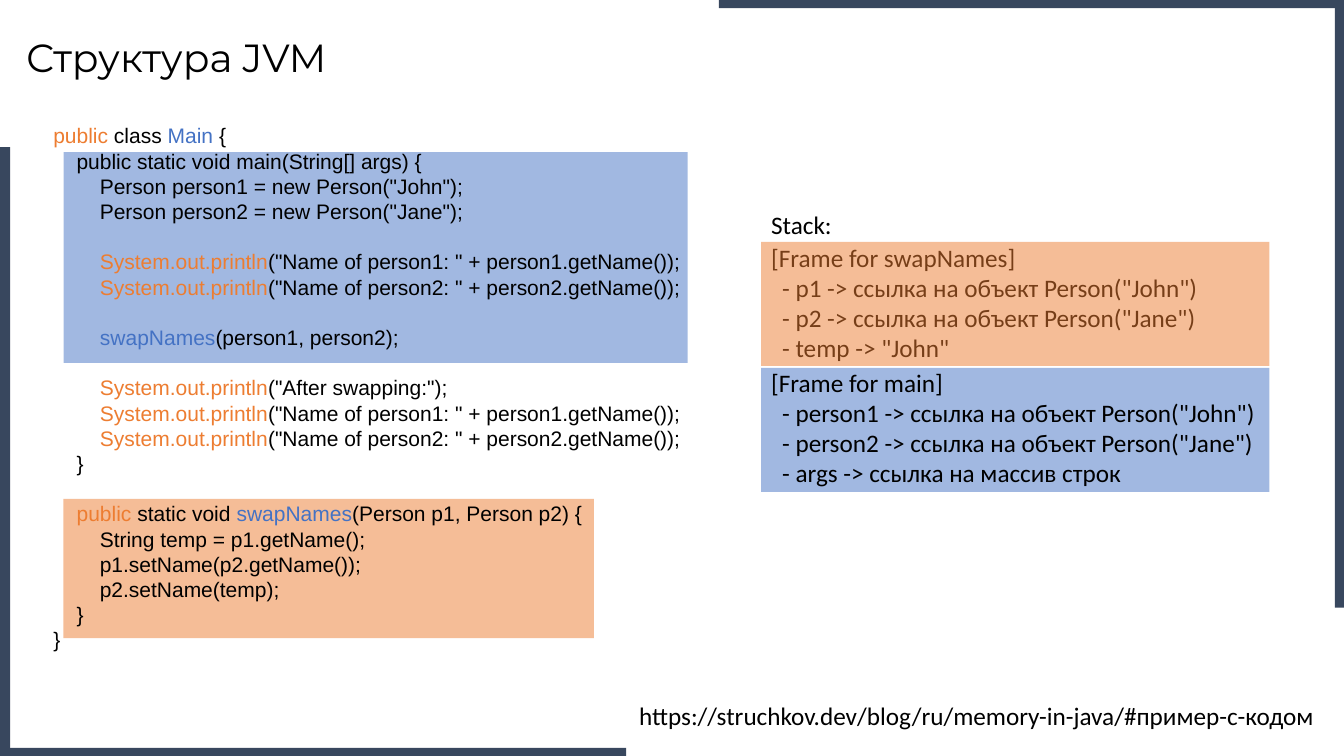
from lxml import etree
from pptx import Presentation
from pptx.dml.color import RGBColor
from pptx.enum.shapes import MSO_SHAPE as Shape
from pptx.oxml.ns import qn
from pptx.util import Inches, Pt

BLACK, ORANGE, BLUE, NAVY = "000000", "ED7D31", "4472C4", "38475E"

TITLE = "Структура JVM"
URL = "https://struchkov.dev/blog/ru/memory-in-java/#пример-с-кодом"
# ~text~ is orange, ^text^ is blue
CODE = """~public~ class ^Main^ {
    public static void main(String[] args) {
        Person person1 = new Person("John");
        Person person2 = new Person("Jane");

        ~System.out.println~("Name of person1: " + person1.getName());
        ~System.out.println~("Name of person2: " + person2.getName());

        ^swapNames^(person1, person2);

        ~System.out.println~("After swapping:");
        ~System.out.println~("Name of person1: " + person1.getName());
        ~System.out.println~("Name of person2: " + person2.getName());
    }

    ~public~ static void ^swapNames^(Person p1, Person p2) {
        String temp = p1.getName();
        p1.setName(p2.getName());
        p2.setName(temp);
    }
}"""
SWAP_FRAME = ("[Frame for swapNames]", [
    '- p1 -> ссылка на объект Person("John")',
    '- p2 -> ссылка на объект Person("Jane")',
    '- temp -> "John"',
])
MAIN_FRAME = ("[Frame for main]", [
    '- person1 -> ссылка на объект Person("John")',
    '- person2 -> ссылка на объект Person("Jane")',
    "- args -> ссылка на массив строк",
])
EDGE_BARS = [(0, 1.46, 0.1, 6.04), (0.1, 7.42, 6.11, 0.08),
             (13.24, 0, 0.09, 6.03), (7.13, 0, 6.11, 0.08)]
STACK_X, STACK_W = 7.55, 5.04
CODE_LINE = Pt(18)


def rgb(color):
    return RGBColor.from_string(color)


def add_block(s, at, color, alpha=None):
    """Add a borderless rectangle; alpha is its opacity in percent."""
    sp = s.shapes.add_shape(Shape.RECTANGLE, *map(Inches, at))
    sp.shadow.inherit = False
    sp.fill.solid()
    sp.fill.fore_color.rgb = rgb(color)
    sp.line.fill.background()
    if alpha:
        clr = sp.fill._xPr.find(".//" + qn("a:srgbClr"))
        etree.SubElement(clr, qn("a:alpha")).set("val", str(alpha * 1000))


def add_box(s, at):
    tf = s.shapes.add_textbox(*map(Inches, at)).text_frame
    tf.word_wrap = True
    return tf


def add_run(p, text, font="Calibri", size=18, color=BLACK):
    r = p.add_run()
    r.text = text
    for name, value in {"name": font, "size": Pt(size)}.items():
        setattr(r.font, name, value)
    r.font.color.rgb = rgb(color)


def add_line(s, at, text, **fmt):
    add_run(add_box(s, at).paragraphs[0], text, **fmt)


def add_frame(s, y, frame):
    head, items = frame
    tf = add_box(s, (STACK_X, y, STACK_W, 1.31))
    add_run(tf.paragraphs[0], head)
    for item in items:
        p = tf.add_paragraph()
        p._p.get_or_add_pPr().set("marL", str(Inches(0.11)))
        add_run(p, item)


def colored_parts(line):
    for i, part in enumerate(line.split("~")):
        for j, text in enumerate(part.split("^")):
            if text:
                yield text, ORANGE if i % 2 else BLUE if j % 2 else BLACK


def add_code(s, at, code):
    """Write the code; an empty line becomes space before the next one."""
    tf = add_box(s, at)
    p, gap = tf.paragraphs[0], False
    for n, line in enumerate(code.split("\n")):
        if not line:
            gap = True
            continue
        if n:
            p = tf.add_paragraph()
        p.line_spacing = CODE_LINE
        if gap:
            p.space_before = CODE_LINE
            gap = False
        for text, color in colored_parts(line):
            add_run(p, text, "Arial", 15, color)


def main():
    prs = Presentation()
    prs.slide_width, prs.slide_height = Inches(13.33), Inches(7.5)
    s = prs.slides.add_slide(prs.slide_layouts[6])

    add_frame(s, 2.35, SWAP_FRAME)
    add_block(s, (STACK_X, 2.4, STACK_W, 1.23), ORANGE, 50)
    add_block(s, (0.63, 1.51, 6.19, 2.09), BLUE, 50)
    add_block(s, (0.63, 4.95, 5.26, 1.38), ORANGE, 50)
    add_line(s, (0.16, 0.28, 6.67, 0.57), TITLE, font="Montserrat", size=28)
    add_code(s, (0.43, 1.17, 6.48, 5.4), CODE)
    add_line(s, (6.24, 6.9, 6.94, 0.4), URL)
    add_block(s, (STACK_X, 3.65, STACK_W, 1.23), BLUE, 50)
    add_line(s, (STACK_X, 2.03, STACK_W, 0.4), "Stack:")
    add_frame(s, 3.59, MAIN_FRAME)
    for bar in EDGE_BARS:
        add_block(s, bar, NAVY)

    prs.save("out.pptx")


if __name__ == "__main__":
    main()
